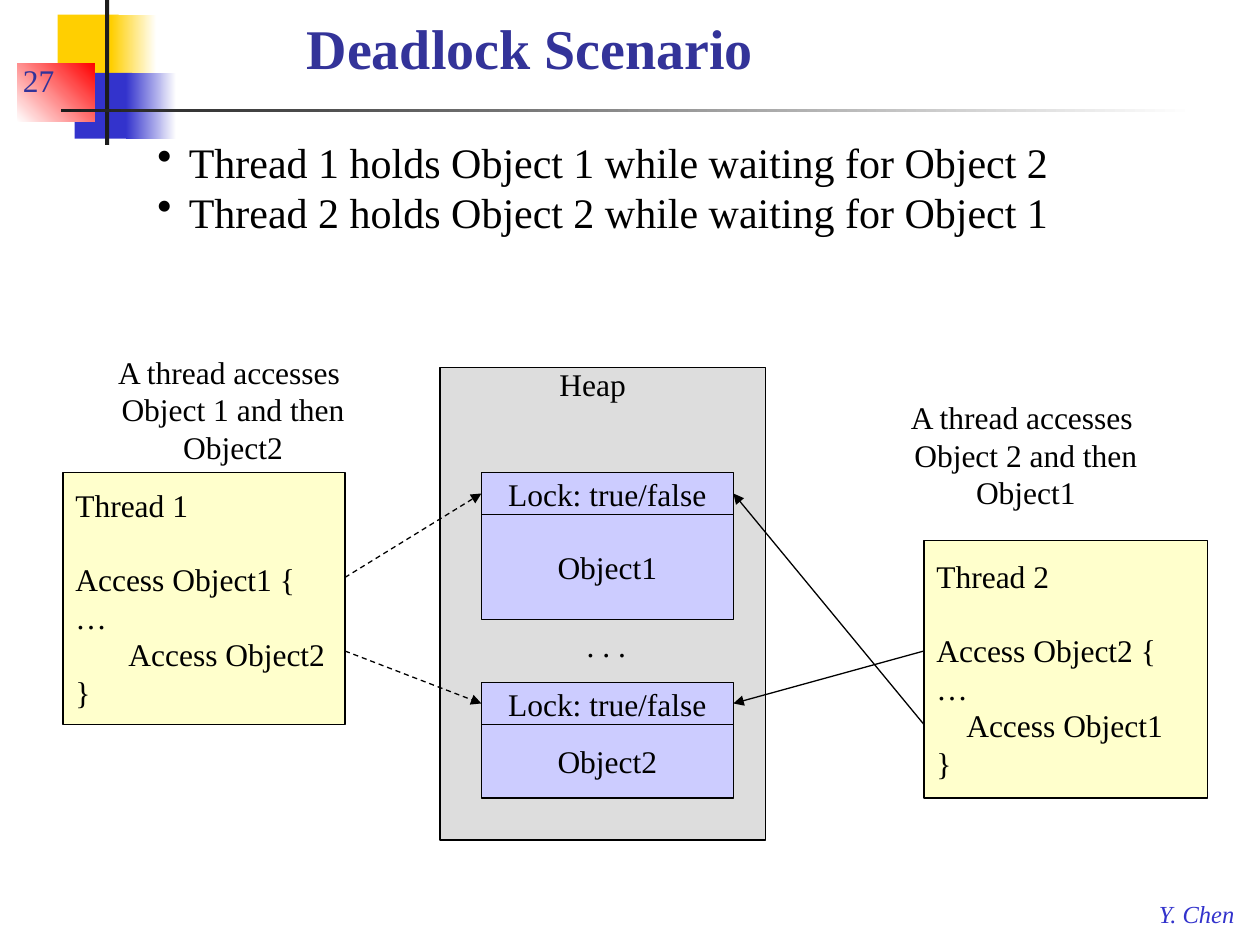
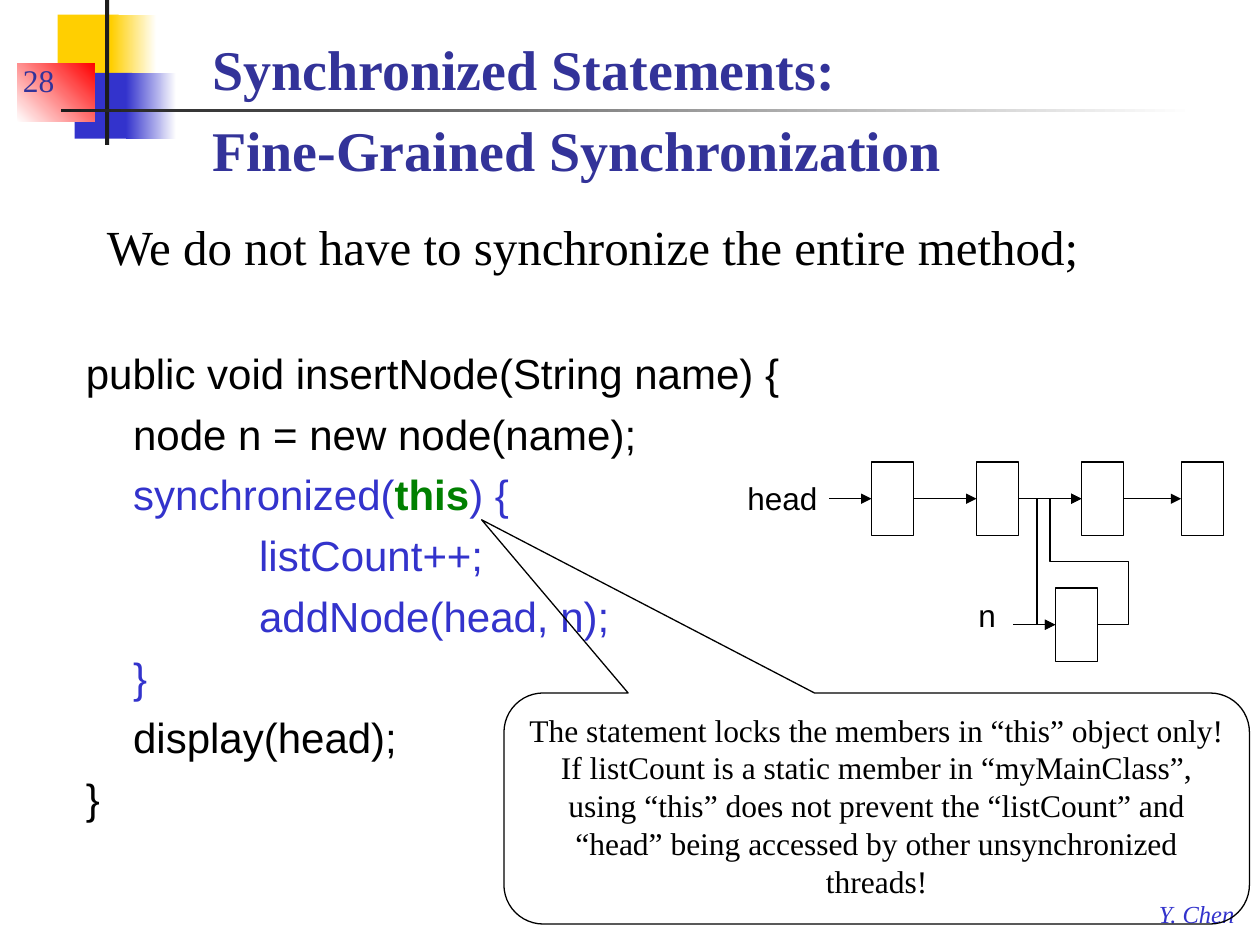
from dataclasses import dataclass, field
from typing import Any, NamedTuple

from lxml import etree
from pptx import Presentation
from pptx.dml.color import RGBColor
from pptx.enum.dml import MSO_LINE
from pptx.enum.shapes import MSO_CONNECTOR, MSO_SHAPE
from pptx.enum.text import MSO_ANCHOR, MSO_AUTO_SIZE, PP_ALIGN
from pptx.oxml.ns import qn
from pptx.util import Inches, Length, Pt

RECT, CALLOUT = MSO_SHAPE.RECTANGLE, MSO_SHAPE.ROUNDED_RECTANGULAR_CALLOUT
LINE, ELBOW = MSO_CONNECTOR.STRAIGHT, MSO_CONNECTOR.ELBOW
LEFT, MID = PP_ALIGN.LEFT, PP_ALIGN.CENTER
TOP, CORE, BASE = MSO_ANCHOR.TOP, MSO_ANCHOR.MIDDLE, MSO_ANCHOR.BOTTOM
DASH, FIXED = MSO_LINE.DASH, MSO_AUTO_SIZE.NONE
WIDE, HIGH = Inches(10), Inches(7.5)
COLS = 120  # square cells, so the slide is 90 rows high
TITLE_ONLY = 5


@dataclass(frozen=True)
class Theme:
    serif: str = "Times New Roman"
    sans: str = "Arial"
    black: str = "000000"
    white: str = "FFFFFF"
    ink: str = "1C1C1C"
    navy: str = "333399"
    blue: str = "3333CC"
    green: str = "008000"
    gold: str = "FFCF01"
    red: str = "FF0000"
    grey: str = "DDDDDD"
    lilac: str = "CCCCFF"
    cream: str = "FFFFCC"
    title: int = 32
    lead: int = 28
    body: int = 24
    note: int = 18
    foot: int = 14
    rule: float = 0.75


T = Theme()


class Area(NamedTuple):
    """Left, top, width and height in grid cells."""
    x: float
    y: float
    w: float
    h: float


class Spot(NamedTuple):
    x: float
    y: float


class Run(NamedTuple):
    text: str
    color: str = T.black
    bold: bool = False


@dataclass(frozen=True)
class Para:
    """Runs with an indent in cells and a dict of paragraph formats."""
    runs: tuple[Run, ...]
    indent: float = 0
    bullet: bool = False
    form: dict[str, Any] = field(default_factory=dict)


@dataclass(frozen=True)
class Style:
    size: int = T.note
    font: str = T.serif
    italic: bool = False
    align: Any = LEFT
    anchor: Any = TOP


@dataclass(frozen=True)
class Link:
    start: Spot
    end: Spot
    dash: bool = False
    bends: tuple[float, ...] = ()


class Band(NamedTuple):
    area: Area
    color: str
    fade: str = ""
    angle: int = 0


BANDS = (
    Band(Area(5.5, 1.4, 5.8, 6.25), T.gold),
    Band(Area(10.6, 1.4, 4.3, 6.25), T.gold, T.white),
    Band(Area(7.1, 6.95, 5.5, 6.25), T.blue),
    Band(Area(12, 6.95, 4.8, 6.25), T.blue, T.white),
    Band(Area(1.65, 6, 7.35, 5.6), T.white, T.red, 45),
    Band(Area(10, 0, 0.4, 13.8), T.ink),
    Band(Area(5.8, 10.35, 108, 0.36), T.ink, T.white),
)
LABEL = Style()
CENTER = Style(align=MID)
CELL = Style(align=MID, anchor=CORE)
CODE = Style(anchor=CORE)


def cell(n: float) -> Length:
    return Length(round(n * WIDE / COLS))


def rgb(code: str) -> RGBColor:
    return RGBColor.from_string(code)


def put(item: Any, form: dict[str, Any]) -> None:
    for name, value in form.items():
        setattr(item, name, value)


def spans(area: Area) -> list[Length]:
    return [cell(n) for n in area]


def plain(text: str, color: str = T.black, bold: bool = False,
          indent: float = 0, **form: Any) -> Para:
    return Para((Run(text, color, bold),), indent, form=form)


def write(frame: Any, paras: list[Para], style: Style) -> None:
    put(frame, {"word_wrap": True, "auto_size": FIXED,
                "vertical_anchor": style.anchor})
    if style.anchor == CORE:
        put(frame, {"margin_top": 0, "margin_bottom": 0})
    for i, para in enumerate(paras):
        line = frame.add_paragraph() if i else frame.paragraphs[0]
        put(line, {"alignment": style.align, **para.form})
        props = line._p.get_or_add_pPr()
        if para.indent:
            props.set("marL", str(cell(para.indent)))
        if para.bullet:
            props.set("indent", str(-cell(para.indent)))
            etree.SubElement(props, qn("a:buChar"), char="•")
        for part in para.runs:
            for j, text in enumerate(part.text.split("\n")):
                if j:
                    line.add_line_break()
                run = line.add_run()
                run.text = text
                put(run.font, {"name": style.font, "size": Pt(style.size),
                               "bold": part.bold, "italic": style.italic})
                run.font.color.rgb = rgb(part.color)


def label(slide: Any, area: Area, paras: list[Para],
          style: Style = LABEL) -> None:
    write(slide.shapes.add_textbox(*spans(area)).text_frame, paras, style)


def box(slide: Any, area: Area, fill: str = "", paras: list[Para] | None = None,
        style: Style = CELL, kind: Any = RECT, edge: bool = True) -> Any:
    shape = slide.shapes.add_shape(kind, *spans(area))
    shape.shadow.inherit = False
    if fill:
        shape.fill.solid()
        shape.fill.fore_color.rgb = rgb(fill)
    else:
        shape.fill.background()
    if edge:
        shape.line.color.rgb = rgb(T.black)
        shape.line.width = Pt(T.rule)
    else:
        shape.line.fill.background()
    if paras:
        write(shape.text_frame, paras, style)
    return shape


def join(slide: Any, link: Link) -> None:
    """Draw an arrow, with elbows where the link has bends."""
    ends = [cell(n) for n in (*link.start, *link.end)]
    arrow = slide.shapes.add_connector(ELBOW if link.bends else LINE, *ends)
    arrow.line.color.rgb = rgb(T.black)
    arrow.line.width = Pt(T.rule)
    if link.dash:
        arrow.line.dash_style = DASH
    props = arrow._element.spPr
    etree.SubElement(arrow.line._get_or_add_ln(), qn("a:tailEnd"), type="triangle")
    etree.SubElement(props, qn("a:effectLst"))
    if link.bends:
        geom = props.find(qn("a:prstGeom"))
        geom.set("prst", f"bentConnector{len(link.bends) + 2}")
        guides = geom.find(qn("a:avLst"))
        for i, bend in enumerate(link.bends, 1):
            etree.SubElement(guides, qn("a:gd"), name=f"adj{i}",
                             fmla=f"val {round(bend * 100000)}")


def start(deck: Any, page: int, title: str, area: Area, **form: Any) -> Any:
    """Add a slide with the shared bands, number, footer and title."""
    slide = deck.slides.add_slide(deck.slide_layouts[TITLE_ONLY])
    for band in BANDS:
        shape = box(slide, band.area, band.color, edge=False)
        if band.fade:
            shape.fill.gradient()
            shape.fill.gradient_angle = band.angle
            for stop, color in zip(shape.fill.gradient_stops, band[1:3]):
                stop.color.rgb = rgb(color)
    label(slide, Area(109.2, 85, 10.8, 4), [plain("Y. Chen", T.blue)],
          Style(T.foot, italic=True))
    label(slide, Area(1, 4, 25, 6), [plain(str(page), T.navy)], Style(anchor=BASE))
    head = slide.shapes.title
    put(head, dict(zip(("left", "top", "width", "height"), spans(area))))
    write(head.text_frame, [plain(title, T.navy, True, **form)],
          Style(T.title, anchor=BASE))
    return slide


def thread(slide: Any, area: Area, name: str, first: str, second: str,
           indent: float) -> None:
    box(slide, area, T.cream, [
        plain(name), plain(f"Access {first} {{", space_before=Pt(20.7)), plain("…"),
        plain(f"Access {second}", indent=indent), plain("}")], CODE)


def deadlock(deck: Any) -> None:
    slide = start(deck, 27, "Deadlock Scenario", Area(28, 1, 86, 7.3))
    box(slide, Area(41.9, 35, 31, 45), T.grey)
    label(slide, Area(52.1, 34.2, 10, 4.8), [plain("Heap")])
    left, wide, lock = 45.85, 24, 4
    right = left + wide
    for name, top, high in (("Object1", 45, 10), ("Object2", 65, 7)):
        box(slide, Area(left, top, wide, lock), T.lilac, [plain("Lock: true/false")])
        box(slide, Area(left, top + lock, wide, high), T.lilac, [plain(name)])
    label(slide, Area(54.7, 59, 8, 4.8), [plain(". . .")])
    thread(slide, Area(6, 45, 26.85, 24), "Thread 1", "Object1", "Object2", 5.05)
    thread(slide, Area(88, 51.5, 27, 24.5), "Thread 2", "Object2", "Object1", 2.85)
    for area, order in ((Area(8.4, 33, 27.6, 12), "Object 1 and then Object2"),
                        (Area(82.4, 37.3, 30.6, 12), "Object 2 and then Object1")):
        label(slide, area, [plain(f"A thread accesses \n{order}")], CENTER)
    label(slide, Area(13.8, 12.4, 99.2, 11), [
        Para((Run(f"Thread {a} holds Object {a} while waiting for Object {b}"),), 3, True)
        for a, b in ((1, 2), (2, 1))], Style(T.body))
    for link in (Link(Spot(32.85, 55), Spot(left, 47), True),
                 Link(Spot(32.85, 62), Spot(left, 67), True),
                 Link(Spot(88, 62), Spot(right, 67)),
                 Link(Spot(88, 69), Spot(right, 47))):
        join(slide, link)


def nodes(slide: Any) -> None:
    """Draw the linked list and the node being inserted."""
    wide, high, row, low = 4, 7, 47.5, 59.5
    lefts = (83, 93, 103, 112.5)
    fresh = 100.5
    for x, y in (*((x, row) for x in lefts), (fresh, low)):
        box(slide, Area(x, y - high / 2, wide, high), T.white)
    for name, area in (("head", Area(70, 45, 9.5, 4.8)), ("n", Area(92, 56.2, 4.5, 4.8))):
        box(slide, area, T.white, [plain(name)], Style(font=T.sans), edge=False)
    tails = (79, *(x + wide for x in lefts))
    for tail, tip in zip(tails, lefts):
        join(slide, Link(Spot(tail, row), Spot(tip, row)))
    join(slide, Link(Spot(96.5, low), Spot(fresh, low)))
    join(slide, Link(Spot(tails[2], row), Spot(fresh, low), bends=(0.5,)))
    join(slide, Link(Spot(fresh + wide, low), Spot(lefts[2], row), bends=(-2, 0.5, 3)))


def grained(deck: Any) -> None:
    slide = start(deck, 28, "Synchronized Statements:\nFine-Grained Synchronization",
                  Area(19, 0, 100, 18), line_spacing=1.2)
    label(slide, Area(9, 20, 108.5, 8),
          [plain("We do not have to synchronize the entire method;")], Style(T.lead))
    step, deep = 4.5, 16.5
    gap = {"space_before": Pt(5.9)}
    sync = (Run("synchronized(", T.blue), Run("this", T.green, True), Run(") {", T.blue))
    label(slide, Area(7, 32.5, 78, 52.5), [
        plain("public void insertNode(String name) {", **gap),
        plain("node n = new node(name);", indent=step, **gap),
        Para(sync, step, form=gap),
        plain("listCount++;", T.blue, indent=deep, **gap),
        plain("addNode(head, n);", T.blue, indent=deep, **gap),
        plain("}", T.blue, indent=step, **gap),
        plain("display(head);", indent=step, **gap),
        plain("}", **gap)], Style(T.body, T.sans))
    nodes(slide)
    bubble = box(slide, Area(48, 66, 71, 22), "", [
        plain("The statement locks the members in “this” object only!"),
        plain("If listCount is a static member in “myMainClass”, using “this” does not "
              "prevent the “listCount” and “head” being accessed by other "
              "unsynchronized threads!")], CENTER, CALLOUT)
    for i, value in enumerate((-0.53, -1.25, 0.17)):
        bubble.adjustments[i] = value


def main() -> None:
    deck = Presentation()
    put(deck, {"slide_width": WIDE, "slide_height": HIGH})
    deadlock(deck)
    grained(deck)
    deck.save("out.pptx")


if __name__ == "__main__":
    main()
